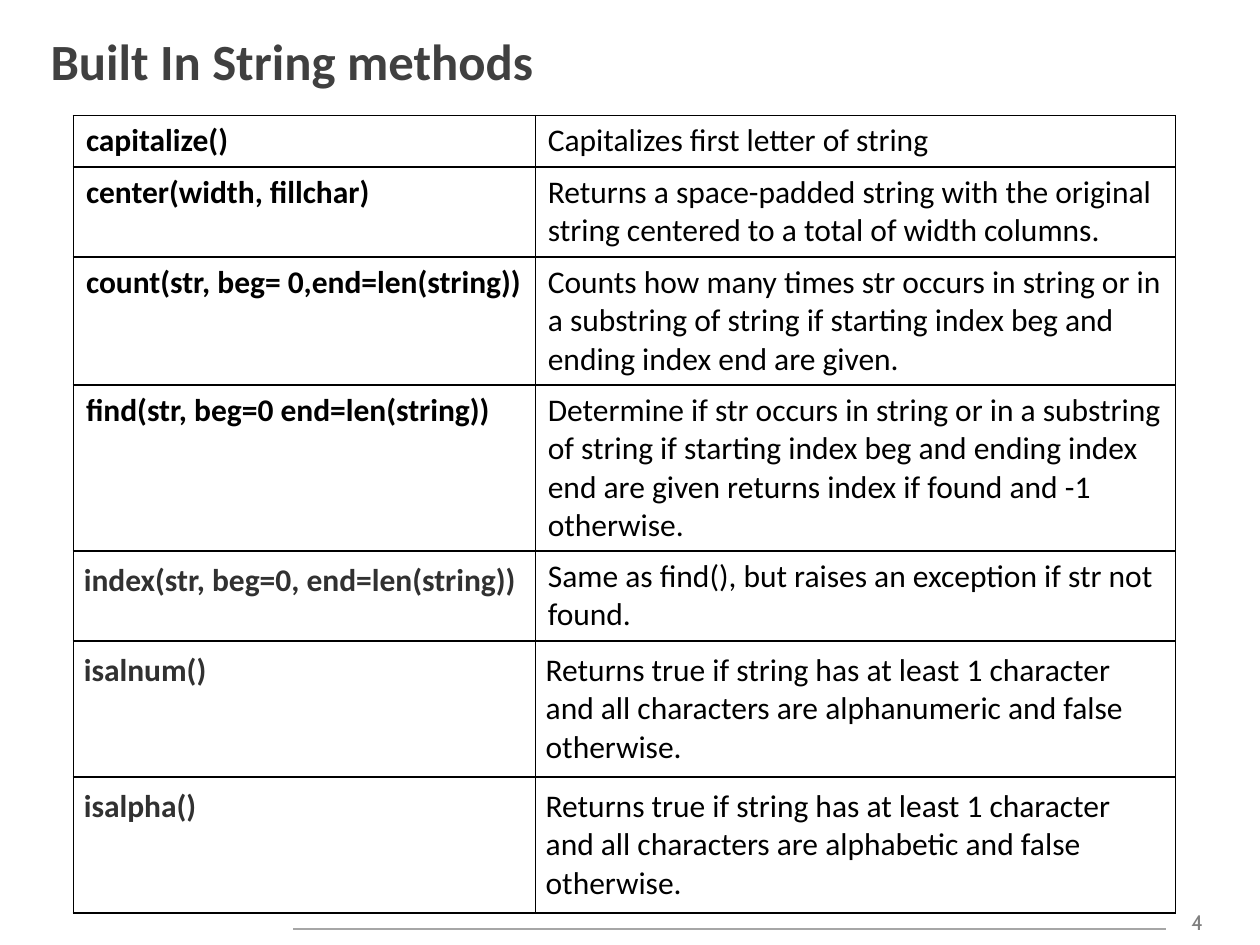
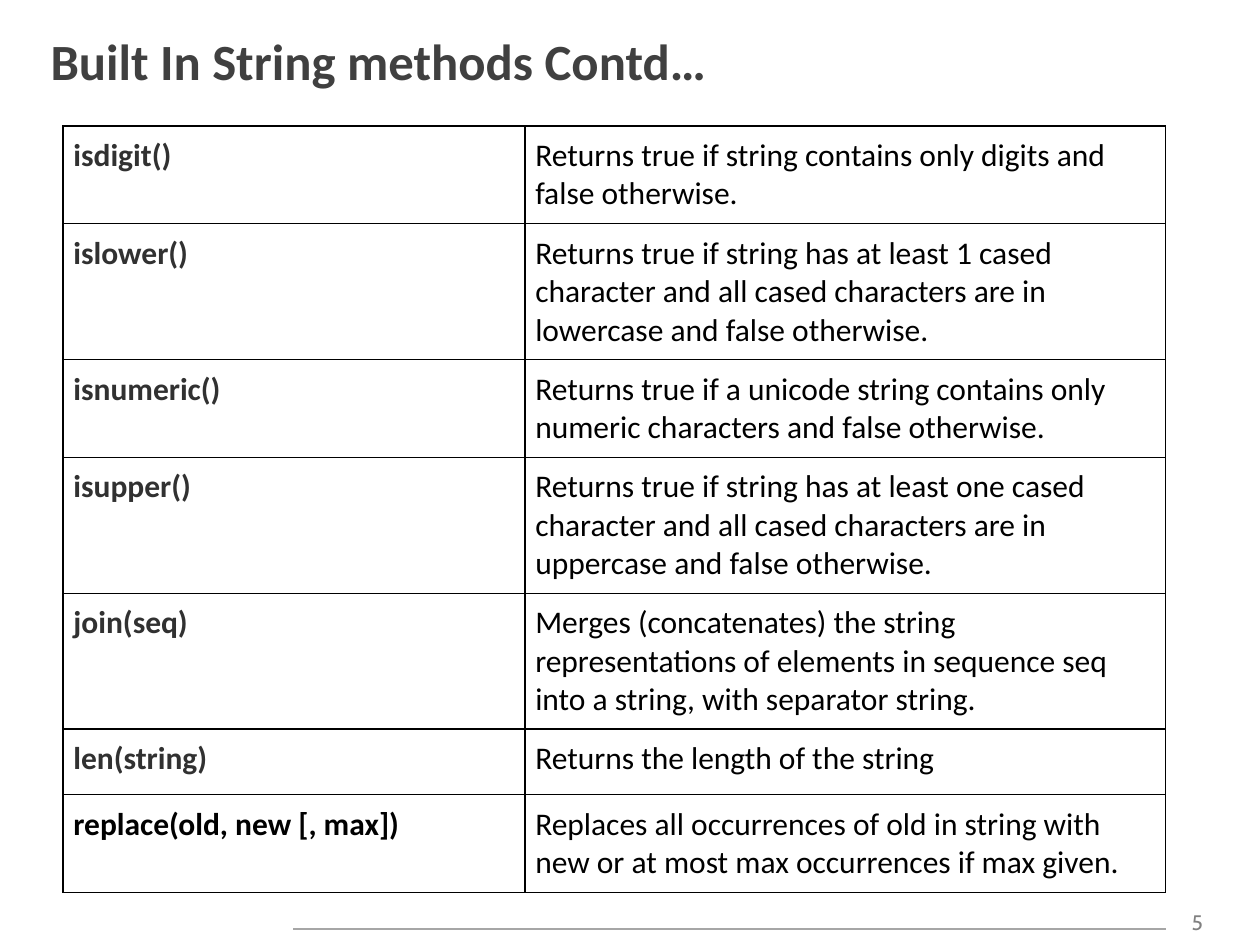
"""Build two slides that list Python's built-in string methods."""
from dataclasses import dataclass

from lxml.etree import SubElement
from pptx import Presentation
from pptx.dml.color import RGBColor
from pptx.enum.shapes import MSO_CONNECTOR as Connector
from pptx.enum.text import MSO_ANCHOR as Anchor, MSO_AUTO_SIZE as AutoSize, PP_ALIGN as Align
from pptx.oxml import parse_xml
from pptx.oxml.ns import nsdecls, qn
from pptx.util import Cm, Pt


@dataclass(frozen=True)
class Theme:
    title: str = "404040"
    ink: str = "000000"
    soft_ink: str = "313131"
    number: str = "808080"
    rule: str = "A6A6A6"
    body_font: str = "Calibri"
    number_font: str = "Cabin"
    title_size: float = 29
    body_size: float = 18
    number_size: float = 12
    rule_width: float = 0.75
    border_width: float = 1


@dataclass(frozen=True)
class Method:
    name: str
    description: str
    lines: int
    name_color: str
    name_padded: bool = True
    description_padded: bool = True
    name_align: Align = Align.LEFT
    extra_height: float = 0

    @property
    def height(self) -> float:
        """Give the row height that holds the description lines."""
        first_line = 1.2 if self.description_padded else 1.04
        return first_line + LINE_STEP * (self.lines - 1) + self.extra_height


@dataclass(frozen=True)
class MethodPage:
    title: str
    number: int
    left: float
    top: float
    methods: tuple[Method, ...]


THEME = Theme()
COLUMN_WIDTHS = (9.31, 12.91)
CELL_PADDING = 0.21
LINE_STEP = 0.77


def plain(name: str, description: str, lines: int) -> Method:
    """Describe a method whose cells keep the default margins."""
    return Method(name, description, lines, THEME.ink, False, False)


def padded(name: str, description: str, lines: int, **changes) -> Method:
    """Describe a method whose cells have even padding."""
    return Method(name, description, lines, **{"name_color": THEME.soft_ink, **changes})


PAGES = (
    MethodPage("Built In String methods", 4, 1.48, 2.33, (
        plain("capitalize()", "Capitalizes first letter of string", 1),
        plain("center(width, fillchar)",
              "Returns a space-padded string with the original string centered "
              "to a total of width columns.", 2),
        plain("count(str, beg= 0,end=len(string))",
              "Counts how many times str occurs in string or in a substring of string "
              "if starting index beg and ending index end are given.", 3),
        plain("find(str, beg=0 end=len(string))",
              "Determine if str occurs in string or in a substring of string if starting "
              "index beg and ending index end are given returns index if found and -1 otherwise.",
              4),
        padded("index(str, beg=0, end=len(string))",
               "Same as find(), but raises an exception if str not found.", 2,
               description_padded=False, name_align=Align.JUSTIFY),
        padded("isalnum()",
               "Returns true if string has at least 1 character and all characters are "
               "alphanumeric and false otherwise.", 3),
        padded("isalpha()",
               "Returns true if string has at least 1 character and all characters are "
               "alphabetic and false otherwise.", 3),
    )),
    MethodPage("Built In String methods Contd…", 5, 1.27, 2.54, (
        padded("isdigit()",
               "Returns true if string contains only digits and false otherwise.", 2),
        padded("islower()",
               "Returns true if string has at least 1 cased character and all cased "
               "characters are in lowercase and false otherwise.", 3),
        padded("isnumeric()",
               "Returns true if a unicode string contains only numeric characters "
               "and false otherwise.", 2),
        padded("isupper()",
               "Returns true if string has at least one cased character and all cased "
               "characters are in uppercase and false otherwise.", 3),
        padded("join(seq)",
               "Merges (concatenates) the string representations of elements in sequence "
               "seq into a string, with separator string.", 3),
        padded("len(string)", "Returns the length of the string", 1, extra_height=0.12),
        padded("replace(old, new [, max])",
               "Replaces all occurrences of old in string with new or at most max "
               "occurrences if max given.", 2, name_color=THEME.ink),
    )),
)


def apply_format(target, values: dict) -> None:
    """Set every named attribute on the target."""
    for name, value in values.items():
        setattr(target, name, value)


def write(frame, text: str, color: str, size: float, font: str = THEME.body_font,
          bold: bool = False, align: Align = Align.LEFT) -> None:
    """Write one formatted paragraph into a text frame."""
    para = frame.paragraphs[0]
    para.alignment = align
    span = para.add_run()
    span.text = text
    apply_format(span.font, {"name": font, "size": Pt(size), "bold": bold})
    span.font.color.rgb = RGBColor.from_string(color)


def add_title(page, text: str) -> None:
    """Add the slide title."""
    box = page.shapes.add_textbox(Cm(0.77), Cm(0.41), Cm(23.77), Cm(1.6))
    apply_format(box.text_frame, {"word_wrap": True, "vertical_anchor": Anchor.MIDDLE})
    write(box.text_frame, text, THEME.title, THEME.title_size, bold=True)


def add_footer(page, number: int) -> None:
    """Add the slide number and the rule beside it."""
    box = page.shapes.add_textbox(Cm(23.5), Cm(18.21), Cm(1.27), Cm(0.76))
    apply_format(box.text_frame, {"word_wrap": True, "auto_size": AutoSize.SHAPE_TO_FIT_TEXT})
    write(box.text_frame, str(number), THEME.number, THEME.number_size,
          THEME.number_font, align=Align.CENTER)
    rule = page.shapes.add_connector(Connector.STRAIGHT, Cm(5.91), Cm(18.73), Cm(23.5), Cm(18.73))
    rule.line.color.rgb = RGBColor.from_string(THEME.rule)
    rule.line.width = Pt(THEME.rule_width)
    SubElement(rule._element.spPr, qn("a:effectLst"))


def add_borders(cell) -> None:
    """Outline all four sides of a table cell."""
    properties = cell._tc.get_or_add_tcPr()
    for position, side in enumerate(("lnL", "lnR", "lnT", "lnB")):
        properties.insert(position, parse_xml(
            f'<a:{side} {nsdecls("a")} w="{Pt(THEME.border_width)}"><a:solidFill>'
            f'<a:srgbClr val="{THEME.ink}"/></a:solidFill></a:{side}>'))


def fill_cell(cell, text: str, color: str, is_padded: bool,
              bold: bool = False, align: Align = Align.LEFT) -> None:
    """Fill, pad and outline one table cell."""
    cell.fill.background()
    if is_padded:
        sides = ("left", "right", "top", "bottom")
        apply_format(cell, {f"margin_{side}": Cm(CELL_PADDING) for side in sides})
    write(cell.text_frame, text, color, THEME.body_size, bold=bold, align=align)
    add_borders(cell)


def add_method_table(page, content: MethodPage) -> None:
    """Add the table of method names and descriptions."""
    methods = content.methods
    table = page.shapes.add_table(
        len(methods), len(COLUMN_WIDTHS), Cm(content.left), Cm(content.top),
        Cm(sum(COLUMN_WIDTHS)), Cm(sum(method.height for method in methods))).table
    apply_format(table, {"first_row": False, "horz_banding": False})
    for column, width in zip(table.columns, COLUMN_WIDTHS):
        column.width = Cm(width)
    for row, method in zip(table.rows, methods):
        row.height = Cm(method.height)
        name_cell, description_cell = row.cells
        fill_cell(name_cell, method.name, method.name_color, method.name_padded,
                  True, method.name_align)
        fill_cell(description_cell, method.description, THEME.ink, method.description_padded)


def main() -> None:
    """Build and save the deck."""
    deck = Presentation()
    apply_format(deck, {"slide_width": Cm(25.4), "slide_height": Cm(19.05)})
    for content in PAGES:
        page = deck.slides.add_slide(deck.slide_layouts[6])
        add_footer(page, content.number)
        add_title(page, content.title)
        add_method_table(page, content)
    deck.save("out.pptx")


if __name__ == "__main__":
    main()
